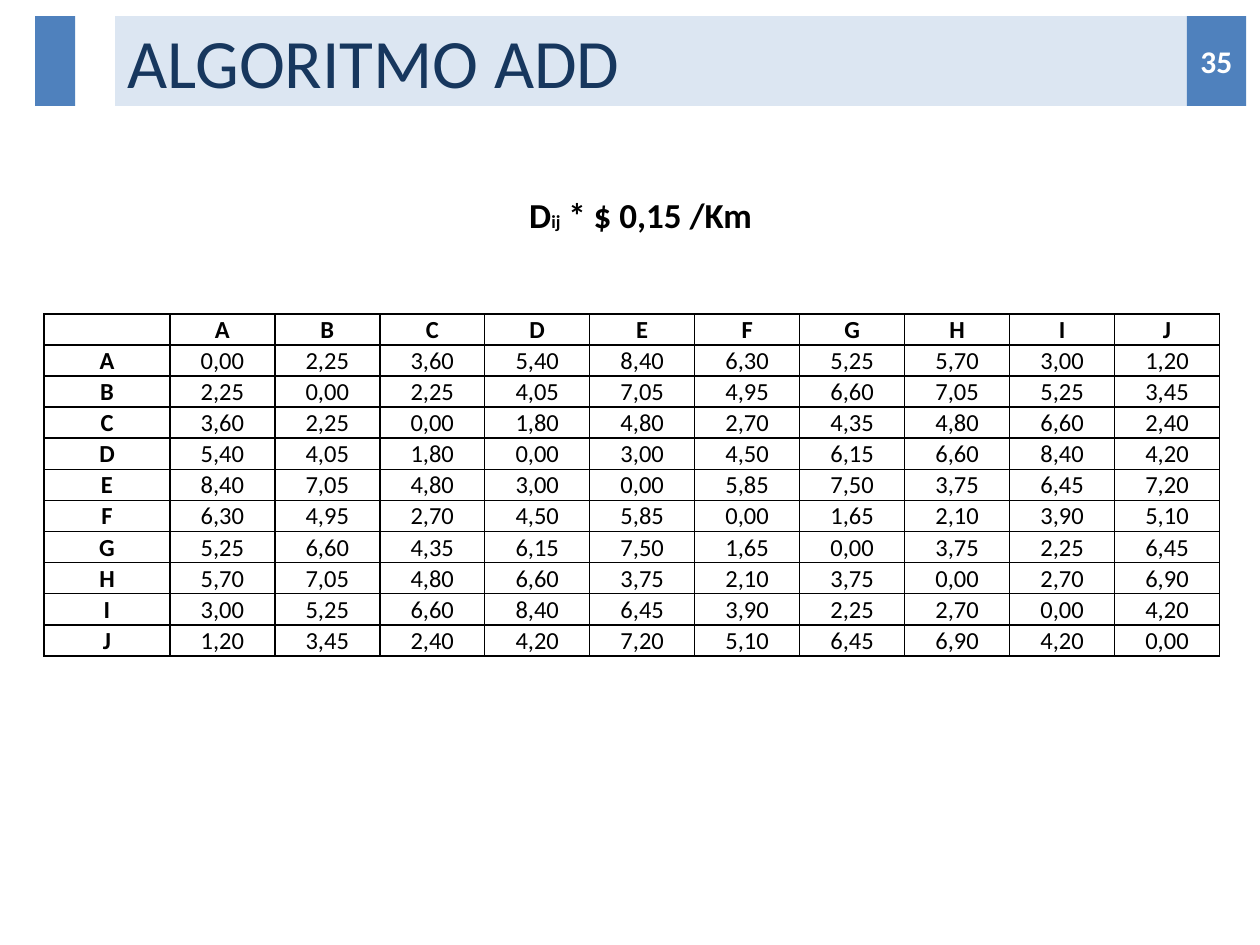
from lxml.etree import SubElement
from pptx import Presentation
from pptx.dml.color import RGBColor
from pptx.enum.shapes import MSO_SHAPE as Preset
from pptx.enum.text import MSO_ANCHOR as Anchor, MSO_AUTO_SIZE as AutoSize, PP_ALIGN as Align
from pptx.oxml.ns import qn
from pptx.util import Inches, Pt

WIDTH, HEIGHT = Inches(10), Inches(7.5)
BLUE, PALE_BLUE, NAVY = "4F81BD", "DCE6F2", "17375E"
BLACK, WHITE = "000000", "FFFFFF"

CITIES = "ABCDEFGHIJ"
# Cost from each city to the ones after it; the matrix is symmetric
COSTS = [
    "2,25 3,60 5,40 8,40 6,30 5,25 5,70 3,00 1,20",
    "2,25 4,05 7,05 4,95 6,60 7,05 5,25 3,45",
    "1,80 4,80 2,70 4,35 4,80 6,60 2,40",
    "3,00 4,50 6,15 6,60 8,40 4,20",
    "5,85 7,50 3,75 6,45 7,20",
    "1,65 2,10 3,90 5,10",
    "3,75 2,25 6,45",
    "2,70 6,90",
    "4,20",
]


def color(value):
    return RGBColor.from_string(value)


def box(left, top, width, height):
    """Turn percentages of the slide into a left, top, width, height box."""
    return (int(WIDTH * left / 100), int(HEIGHT * top / 100),
            int(WIDTH * width / 100), int(HEIGHT * height / 100))


def format_run(run, size, fill, bold=False):
    font = run.font
    font.name, font.size, font.bold = "Calibri", Pt(size), bold
    font.color.rgb = color(fill)


def add_block(slide, area, text=""):
    block = slide.shapes.add_shape(Preset.RECTANGLE, *area)
    block.shadow.inherit = False
    block.fill.solid()
    block.fill.fore_color.rgb = color(BLUE)
    block.line.fill.background()
    frame = block.text_frame
    frame.margin_left = frame.margin_right = 0
    frame.vertical_anchor = Anchor.MIDDLE
    frame.text = text
    frame.paragraphs[0].alignment = Align.CENTER
    for run in frame.paragraphs[0].runs:
        format_run(run, 18, WHITE, bold=True)


def add_header(slide, area, title, number):
    """Title band with a blue block on the left and the number on the right."""
    left, top, width, height = area
    block_width, number_width = width * 0.033, width * 0.049

    shape = slide.shapes.title
    shape.left, shape.top = int(left + 2 * block_width), top
    shape.width, shape.height = int(width * 0.918), height
    shape.fill.solid()
    shape.fill.fore_color.rgb = color(PALE_BLUE)
    frame = shape.text_frame
    frame.text = title
    frame.auto_size = AutoSize.NONE
    frame.vertical_anchor = Anchor.MIDDLE
    frame.paragraphs[0].alignment = Align.LEFT
    format_run(frame.paragraphs[0].runs[0], 39.6, NAVY)

    add_block(slide, (left, top, int(block_width), height))
    add_block(slide, (int(left + width - number_width), top, int(number_width), height), number)


def add_formula(slide, area):
    frame = slide.shapes.add_textbox(*area).text_frame
    frame.word_wrap = True
    frame.vertical_anchor = Anchor.MIDDLE
    paragraph = frame.paragraphs[0]
    paragraph.alignment = Align.CENTER
    for text, size in (("D", 20), ("ij", 10.5), (" * $ 0,15 /Km", 20)):
        run = paragraph.add_run()
        run.text = text
        format_run(run, size, BLACK, bold=True)


def cost_rows():
    """Header row, then each city with its full row of costs."""
    upper = [row.split() for row in COSTS]

    def cost(a, b):
        first, second = sorted((a, b))
        return "0,00" if a == b else upper[first][second - first - 1]

    indexes = range(len(CITIES))
    return [["", *CITIES]] + [[CITIES[a], *(cost(a, b) for b in indexes)] for a in indexes]


def format_cell(cell, text, bold):
    cell.margin_left = cell.margin_right = cell.margin_top = Inches(0.01)
    cell.margin_bottom = 0
    cell.vertical_anchor = Anchor.MIDDLE
    cell.text = text
    paragraph = cell.text_frame.paragraphs[0]
    paragraph.alignment = Align.CENTER
    for run in paragraph.runs:
        format_run(run, 14, BLACK, bold)
    if not text:  # keeps the empty corner as low as its row
        SubElement(paragraph._p, qn("a:endParaRPr"), sz="1400")
    properties = cell._tc.get_or_add_tcPr()
    for side in ("lnL", "lnR", "lnT", "lnB"):
        line = SubElement(properties, qn(f"a:{side}"), w=str(Pt(1)))
        SubElement(SubElement(line, qn("a:solidFill")), qn("a:srgbClr"), val=BLACK)
    cell.fill.background()


def add_cost_table(slide, area):
    rows = cost_rows()
    size = len(rows)
    table = slide.shapes.add_table(size, size, *area).table
    table.first_row = table.horz_banding = False
    label_width = int(area[2] * 0.107)
    for index, column in enumerate(table.columns):
        column.width = (area[2] - label_width) // (size - 1) if index else label_width
    for row in table.rows:
        row.height = area[3] // size
    for r, values in enumerate(rows):
        for c, value in enumerate(values):
            format_cell(table.cell(r, c), value, bold=r == 0 or c == 0)


def main():
    presentation = Presentation()
    presentation.slide_width, presentation.slide_height = WIDTH, HEIGHT
    slide = presentation.slides.add_slide(presentation.slide_layouts[5])
    add_header(slide, box(2.8, 1.7, 96.1, 9.5), "ALGORITMO ADD", "35")
    add_cost_table(slide, box(3.5, 33.2, 93.3, 35.8))
    add_formula(slide, box(2.8, 18.5, 96.1, 8.4))
    presentation.save("out.pptx")


if __name__ == "__main__":
    main()
